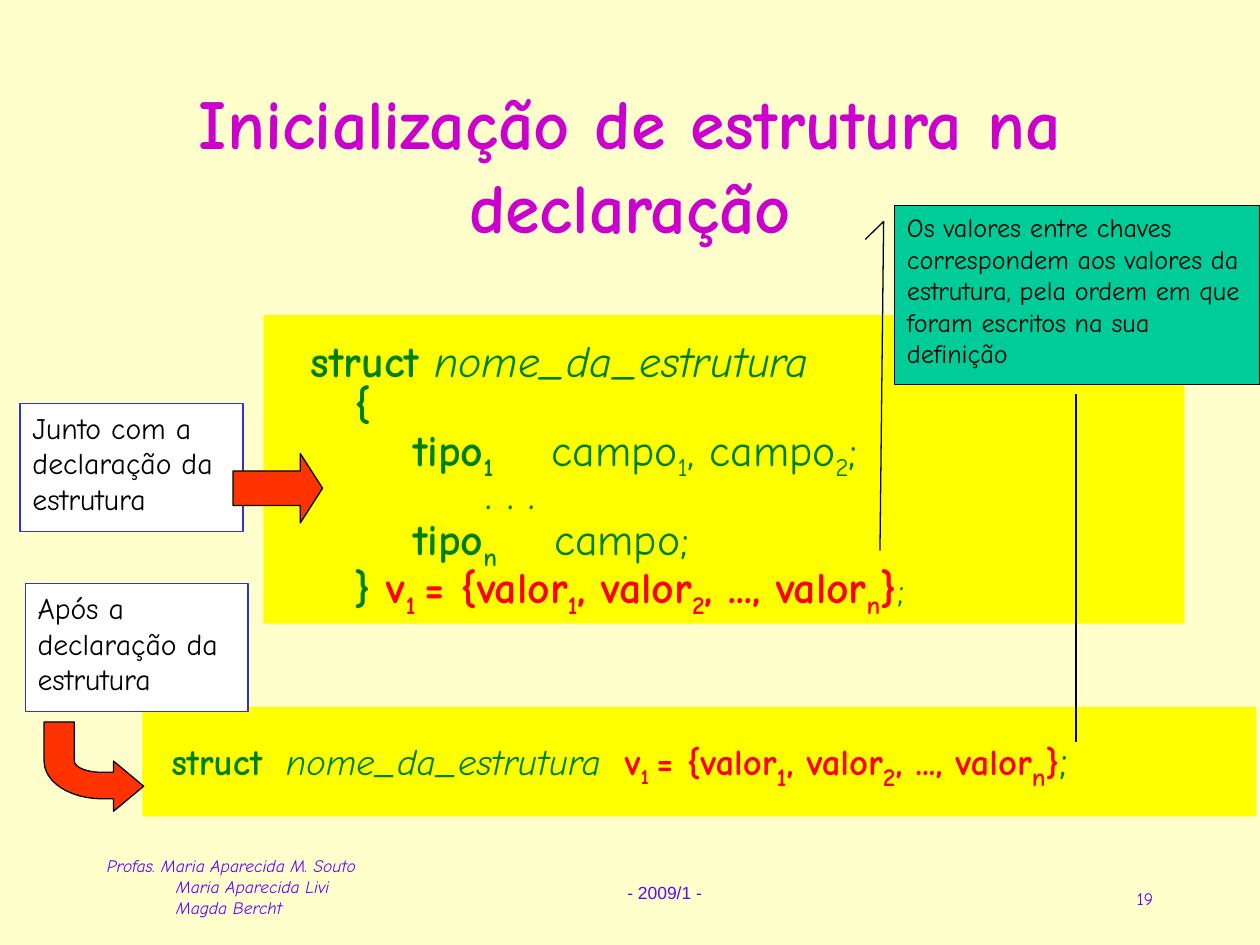
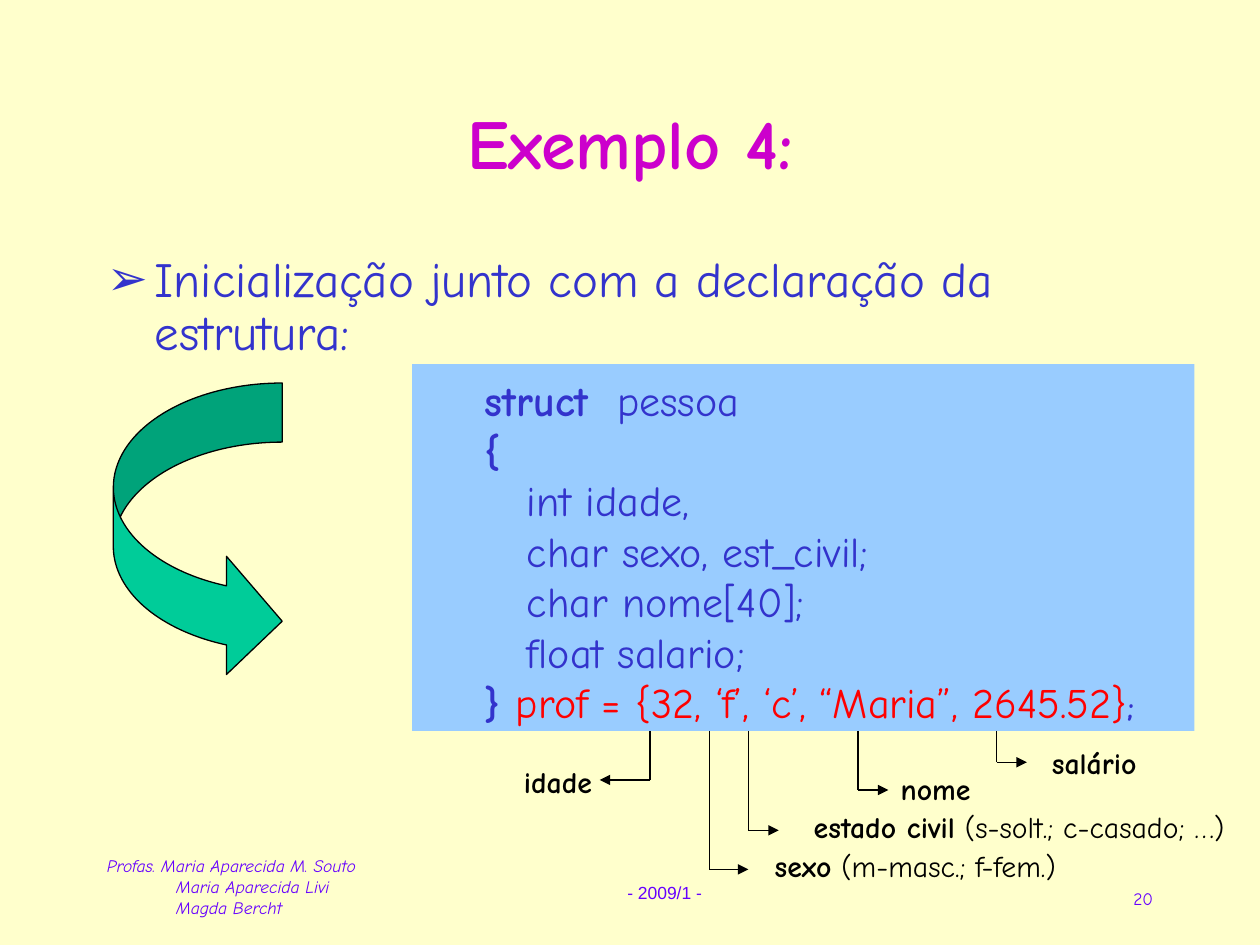
from lxml.etree import SubElement
from pptx import Presentation
from pptx.dml.color import RGBColor
from pptx.enum.shapes import MSO_CONNECTOR as Link, MSO_SHAPE as Preset
from pptx.enum.text import MSO_ANCHOR as Anchor, PP_ALIGN as Align
from pptx.oxml.ns import qn
from pptx.util import Inches, Pt

CREAM = RGBColor(0xFF, 0xFF, 0xCC)
MAGENTA = RGBColor(0xCC, 0x00, 0xCC)
VIOLET = RGBColor(0x66, 0x00, 0xFF)
YELLOW = RGBColor(0xFF, 0xFF, 0x00)
GREEN = RGBColor(0x00, 0x80, 0x00)
RED = RGBColor(0xFF, 0x00, 0x00)
ORANGE = RGBColor(0xFF, 0x33, 0x00)
JADE = RGBColor(0x00, 0xCC, 0x99)
BLUE = RGBColor(0x33, 0x33, 0xCC)
SKY = RGBColor(0x99, 0xCC, 0xFF)
WHITE = RGBColor(0xFF, 0xFF, 0xFF)
BLACK = RGBColor(0x00, 0x00, 0x00)

FONT = "Comic Neue"
COLUMNS = 100
AUTHORS = ["Profas. Maria Aparecida M. Souto", "Maria Aparecida Livi", "Magda Bercht"]


def style(size, color, **extra):
    """Return the format of a span of text."""
    return {"name": FONT, "size": size, "color": color} | extra


def bezier(start, first, second, end, steps=12):
    """Return points along a cubic curve, without its start."""
    points = []
    for step in range(1, steps + 1):
        t = step / steps
        weights = ((1 - t) ** 3, 3 * t * (1 - t) ** 2, 3 * t * t * (1 - t), t ** 3)
        corners = (start, first, second, end)
        points.append(tuple(sum(w * c[axis] for w, c in zip(weights, corners)) for axis in (0, 1)))
    return points


class LessonDeck:
    """Holds the deck, its shared style and the current page."""

    def __init__(self):
        """Open an empty deck of 10 by 7.5 inches."""
        self.deck = Presentation()
        self.deck.slide_width, self.deck.slide_height = Inches(10), Inches(7.5)
        self.cell = self.deck.slide_width / COLUMNS
        self.page = None

    def grid(self, *cells):
        """Turn grid cells into slide lengths."""
        return [round(cell * self.cell) for cell in cells]

    def new_page(self, number, title, title_row, spacing=1.0):
        """Start a page with its background, footer and title."""
        self.page = self.deck.slides.add_slide(self.deck.slide_layouts[6])
        self.page.background.fill.solid()
        self.page.background.fill.fore_color.rgb = CREAM
        small = style(10, VIOLET)
        authors = self.text((7.5, 67.4, 26.2, 6), [[(name, small | {"italic": True})] for name in AUTHORS])
        for para in authors.text_frame.paragraphs[1:]:
            self.indent(para, 5.5, 0)
        self.text((48.8, 69.5, 7.9, 2.7), [[("- 2009/1 -", small | {"name": "Arial"})]], wrap=False)
        self.text((71.7, 70, 20.8, 3.3), [[(str(number), small)]], alignment=Align.RIGHT)
        self.text((7.5, title_row, 85, 12.5), [[(title, style(40, MAGENTA, bold=True))]],
                  anchor=Anchor.MIDDLE, alignment=Align.CENTER, line_spacing=spacing)

    def indent(self, para, left, first):
        """Set the left margin and first-line indent of a paragraph."""
        for key, length in zip(("marL", "indent"), self.grid(left, first)):
            para._p.get_or_add_pPr().set(key, str(length))

    def bullet(self, para, sign, color):
        """Give a paragraph a coloured bullet with a hanging indent."""
        self.indent(para, 3.8, -3.8)
        props = para._p.get_or_add_pPr()
        tint = SubElement(props, qn("a:buClr"))
        SubElement(tint, qn("a:srgbClr"), val=str(color))
        SubElement(props, qn("a:buFont"), typeface=FONT)
        SubElement(props, qn("a:buChar"), char=sign)

    def span(self, para, text, look):
        """Add a span, lowering the parts that stand between tildes."""
        look = dict(look)
        low_size = look.pop("low_size", look["size"])
        for index, part in enumerate(text.split("~")):
            if not part:
                continue
            run = para.add_run()
            run.text = part
            low = index % 2
            values = look | {"size": Pt(low_size if low else look["size"])}
            run.font.color.rgb = values.pop("color")
            for key, value in values.items():
                setattr(run.font, key, value)
            if low:
                run.font._element.set("baseline", "-25000")

    def fill_text(self, box, lines, wrap=True, anchor=Anchor.TOP, left=1, tabs=None, **para_format):
        """Write lines of spans into a box; tabs maps a line index to its stops."""
        frame = box.text_frame
        frame_format = {"word_wrap": wrap, "vertical_anchor": anchor, "margin_left": self.grid(left)[0]}
        for key, value in frame_format.items():
            setattr(frame, key, value)
        for index, spans in enumerate(lines):
            para = frame.add_paragraph() if index else frame.paragraphs[0]
            stops = (tabs or {}).get(index)
            if stops:
                stop_list = SubElement(para._p.get_or_add_pPr(), qn("a:tabLst"))
                for stop in self.grid(*stops):
                    SubElement(stop_list, qn("a:tab"), pos=str(stop), algn="l")
            for key, value in ({"alignment": Align.LEFT} | para_format).items():
                setattr(para, key, value)
            for text, look in spans:
                self.span(para, text, look)

    def text(self, area, lines, **options):
        """Add a text box."""
        box = self.page.shapes.add_textbox(*self.grid(*area))
        self.fill_text(box, lines, **options)
        return box

    def paint(self, shape, fill, line=None):
        """Give a shape a flat fill and a thin line or none."""
        shape.shadow.inherit = False
        shape.fill.solid()
        shape.fill.fore_color.rgb = fill
        if line is None:
            shape.line.fill.background()
        else:
            shape.line.color.rgb = line
            shape.line.width = Pt(0.75)

    def shape(self, preset, area, fill, line=None, adjust=(), lines=(), **options):
        """Add a preset shape, with text if there is any."""
        shape = self.page.shapes.add_shape(preset, *self.grid(*area))
        self.paint(shape, fill, line)
        for index, value in enumerate(adjust):
            shape.adjustments[index] = value
        self.fill_text(shape, lines, **options)

    def outline(self, start, segments, fill, line):
        """Add a closed outline of straight (1 point) and curved (3 points) segments."""
        points = [start]
        for segment in segments:
            points += bezier(points[-1], *segment) if len(segment) == 3 else segment
        builder = self.page.shapes.build_freeform(*self.grid(*start))
        builder.add_line_segments([self.grid(*point) for point in points[1:]], close=True)
        self.paint(builder.convert_to_shape(), fill, line)

    def line(self, start, end, arrow=False):
        """Add a thin black line, with an arrowhead at its end on request."""
        link = self.page.shapes.add_connector(Link.STRAIGHT, *self.grid(*start, *end))
        link.line.color.rgb = BLACK
        link.line.width = Pt(0.75)
        if arrow:
            SubElement(link.line._get_or_add_ln(), qn("a:tailEnd"), type="triangle")
        SubElement(link._element.spPr, qn("a:effectLst"))


def build_syntax_page(lesson):
    """Build the page on the syntax of initialisation."""
    lesson.new_page(19, "Inicialização de estrutura na declaração", 6.7)
    plain = style(25, GREEN)
    bold, italic = plain | {"bold": True}, plain | {"italic": True}
    value = style(25, RED, bold=True)
    values = "= {valor~1~, valor~2~, ..., valor~n~}"
    lesson.shape(Preset.RECTANGLE, (20.9, 25, 73.1, 24.5), YELLOW)
    lesson.text((23.7, 26.8, 70.6, 22.4), [
        [("struct ", bold), ("nome_da_estrutura", italic)],
        [("   ", plain), ("{", bold)],
        [("       ", plain), ("tipo~1~", bold), ("\tcampo~1~, campo~2~;", plain)],
        [("            . . .", plain)],
        [("       ", plain), ("tipo~n~", bold), ("\tcampo;", plain)],
        [("   ", plain), ("} ", bold), ("v~1 ~" + values, value), (";", style(21, GREEN))],
    ], line_spacing=0.8, tabs={2: [19.1], 4: [19.3]})

    def note(area, first_line):
        """Add a white note that tells when the values are given."""
        lesson.shape(Preset.RECTANGLE, area, WHITE, BLUE, lines=[
            [(line, style(17, BLACK))] for line in (first_line, "declaração da", "estrutura")])

    note((1.6, 32, 17.7, 10.2), "Junto com a")
    lesson.shape(Preset.RIGHT_ARROW, (18.5, 36, 7.1, 5.5), ORANGE, BLACK, adjust=(0.5, 0.32))

    code = style(21, GREEN)
    given = style(21, RED, bold=True)
    lesson.shape(Preset.RECTANGLE, (11.3, 56.1, 88.4, 8.7), YELLOW, lines=[[
        ("struct", code | {"bold": True}),
        ("\tnome_da_estrutura", code | {"italic": True}),
        ("\tv~1 ~", given),
        (values, given | {"low_size": 25}),
        (";", plain),
    ]], anchor=Anchor.MIDDLE, left=2.3, tabs={0: [9.1, 36]})
    note((2, 46.3, 17.7, 10.2), "Após a")
    lesson.outline((11.4, 62.4), [
        [(9, 64.4)], [(9, 63.4)], [(8.1, 63.4)],
        [(5.6, 63.4), (3.5, 62.1), (3.5, 60.4)],
        [(3.5, 57.3)], [(5.9, 57.3)], [(5.9, 60.4)],
        [(5.9, 60.9), (6.9, 61.3), (8.1, 61.3)],
        [(9, 61.3)], [(9, 60.4)],
    ], ORANGE, BLACK)
    lesson.shape(Preset.LINE_CALLOUT_2, (71, 16.3, 29, 14.2), JADE, BLACK,
                 adjust=(0.19, -0.08, 0.09, -0.03, 1.93, -0.04), lines=[[(
                     "Os valores entre chaves correspondem aos valores da estrutura, "
                     "pela ordem em que foram escritos na sua definição", style(15, BLACK))]])
    lesson.line((85.4, 31.3), (85.4, 58.9))


def build_example_page(lesson):
    """Build the page with the worked example."""
    lesson.new_page(20, "Exemplo 4:", 5.4, spacing=0.9)
    topic = lesson.text((7.5, 19.8, 85, 9.4), [[
        ("Inicialização junto com a declaração da estrutura:", style(28, BLUE))]], line_spacing=0.9)
    lesson.bullet(topic.text_frame.paragraphs[0], "➢", BLUE)
    lesson.shape(Preset.CURVED_RIGHT_ARROW, (9, 30.4, 13.4, 23.6), JADE, BLACK, adjust=(0.35, 0.7, 0.33))

    code_top, code_height = 28.9, 29.1
    plain = style(24, BLUE)
    bold = plain | {"bold": True}
    fields = ["int idade,", "char sexo, est_civil;", "char nome[40];", "float salario;"]
    lesson.shape(Preset.RECTANGLE, (32.7, code_top, 62.1, code_height), SKY)
    lesson.text((37.5, 29.2, 54, 29), [
        [("struct", bold), ("\tpessoa", plain)],
        [("{", bold)],
        *[[("   " + field, plain)] for field in fields],
        [("} ", bold), ("prof = {32, ‘f’, ‘c’, “Maria”, 2645.52}", style(24, RED)),
         (";", style(18, BLUE, bold=True))],
    ], tabs={0: [10.5]})

    label = style(17, BLACK)
    callouts = [
        (79.1, 60.5, 81.5, (82.5, 58.6, 9.5), "salário", ""),
        (68.1, 62.7, 70.5, (70.5, 60.7, 9), "nome", ""),
        (59.4, 65.9, 61.8, (63.6, 63.7, 35.5), "estado civil", " (s-solt.; c-casado; …)"),
        (56.3, 69, 59.4, (60.5, 66.8, 25.5), "sexo", " (m-masc.; f-fem.)"),
        (51.6, 61.9, 47.6, (40.6, 60.1, 9), "idade", ""),
    ]
    for column, row, tip, area, name, detail in callouts:
        lesson.line((column, code_top + code_height), (column, row))
        lesson.line((column, row), (tip, row), arrow=True)
        lesson.text((*area, 3.9), [[(name, label | {"bold": True}), (detail, label)]])


def main():
    """Build and save the deck."""
    lesson = LessonDeck()
    build_syntax_page(lesson)
    build_example_page(lesson)
    lesson.deck.save("out.pptx")


if __name__ == "__main__":
    main()
